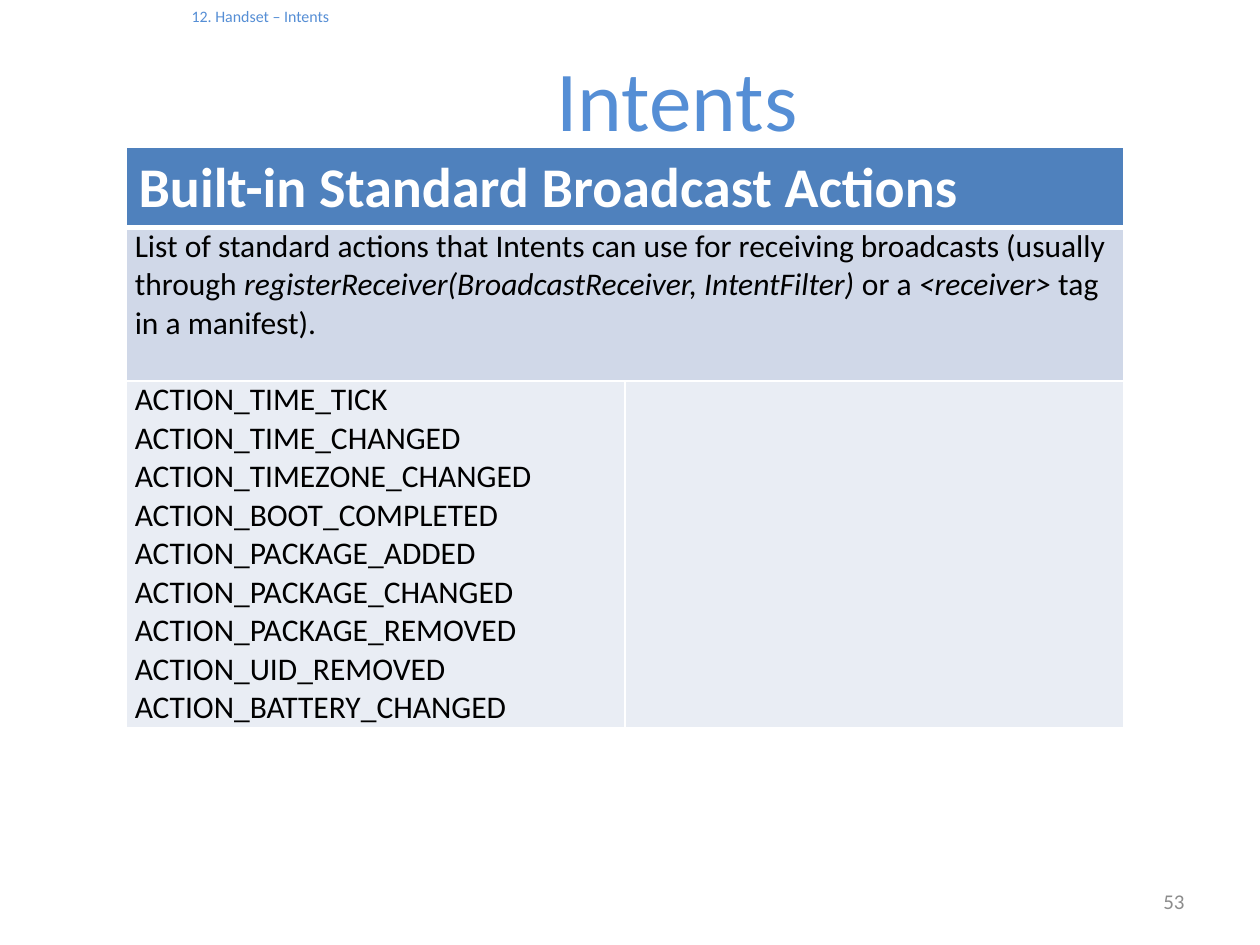
from lxml.etree import SubElement
from pptx import Presentation
from pptx.dml.color import RGBColor
from pptx.enum.text import MSO_ANCHOR, MSO_AUTO_SIZE, PP_ALIGN
from pptx.oxml.ns import qn
from pptx.util import Inches, Pt

# Content: each cell is a list of paragraphs, each paragraph a list of (text, italic)
CHAPTER = "12. Handset – Intents"
TITLE = "Intents"
PAGE = "53"
HEADING = [[("Built-in Standard Broadcast Actions", False)]]
SUMMARY = [[
    ("List of standard actions that Intents can use for receiving broadcasts (usually through ", False),
    ("registerReceiver(BroadcastReceiver, IntentFilter)", True),
    (" or a ", False),
    ("<receiver>", True),
    (" tag in a manifest).", False),
]]
ACTIONS = [[("ACTION_" + name, False)] for name in (
    "TIME_TICK", "TIME_CHANGED", "TIMEZONE_CHANGED", "BOOT_COMPLETED",
    "PACKAGE_ADDED", "PACKAGE_CHANGED", "PACKAGE_REMOVED",
    "UID_REMOVED", "BATTERY_CHANGED")]

FONT = "Calibri"
BLUE, GREY, WHITE, BLACK = "558ED5", "8C8C8C", "FFFFFF", "000000"
HEADING_FILL, SUMMARY_FILL, ACTIONS_FILL = "4F81BD", "D0D8E8", "E9EDF4"
ROW_HEIGHTS = (0.63, 1.22, 2.75)
COLUMN_WIDTH = 3.96


def style(font, size, color, bold=False, italic=False):
    font.name, font.size = FONT, Pt(size)
    font.bold, font.italic = bold, italic
    font.color.rgb = RGBColor.from_string(color)


def set_borders(cell, bottom=1):
    properties = cell._tc.get_or_add_tcPr()
    for side, width in (("L", 1), ("R", 1), ("T", 1), ("B", bottom)):
        line = SubElement(properties, qn(f"a:ln{side}"), w=str(Pt(width)))
        SubElement(SubElement(line, qn("a:solidFill")), qn("a:srgbClr"), val=WHITE)


def fill_cell(cell, paragraphs, fill, size=18, color=BLACK, bold=False):
    cell.fill.solid()
    cell.fill.fore_color.rgb = RGBColor.from_string(fill)
    frame = cell.text_frame
    for index, parts in enumerate(paragraphs):
        paragraph = frame.add_paragraph() if index else frame.paragraphs[0]
        for text, italic in parts:
            run = paragraph.add_run()
            run.text = text
            style(run.font, size, color, bold, italic)


presentation = Presentation()
presentation.slide_width, presentation.slide_height = Inches(10), Inches(7.5)
slide = presentation.slides.add_slide(presentation.slide_layouts[5])

# Title with the chapter line above it
title = slide.shapes.title
title.left, title.top = Inches(0.33), Inches(0.05)
title.width, title.height = Inches(9), Inches(0.95)
title_frame = title.text_frame
title_frame.auto_size = MSO_AUTO_SIZE.NONE
title_frame.vertical_anchor = MSO_ANCHOR.TOP
title_frame.margin_top = 0
title_frame.text = f"{CHAPTER}\n{TITLE}"
chapter_line, title_line = title_frame.paragraphs
chapter_line.alignment = PP_ALIGN.LEFT
chapter_line._p.get_or_add_pPr().set("marL", str(Inches(1.09)))
title_line.alignment = PP_ALIGN.CENTER
title_line.space_before = Pt(12)
style(chapter_line.runs[0].font, 9.1, BLUE)
style(title_line.runs[0].font, 48.7, BLUE)

# Page number
page = slide.shapes.add_textbox(Inches(7.17), Inches(6.95), Inches(2.33), Inches(0.4))
page_frame = page.text_frame
page_frame.word_wrap = True
page_frame.vertical_anchor = MSO_ANCHOR.MIDDLE
page_frame.text = PAGE
page_frame.paragraphs[0].alignment = PP_ALIGN.RIGHT
style(page_frame.paragraphs[0].runs[0].font, 12, GREY)

# Table of broadcast actions
actions_table = slide.shapes.add_table(
    len(ROW_HEIGHTS), 2, Inches(1), Inches(1.17),
    Inches(2 * COLUMN_WIDTH), Inches(sum(ROW_HEIGHTS))).table
for row, height in zip(actions_table.rows, ROW_HEIGHTS):
    row.height = Inches(height)
for row in range(len(ROW_HEIGHTS)):
    for column in range(2):
        cell = actions_table.cell(row, column)
        set_borders(cell, bottom=3 if row == 0 else 1)
        if row:
            cell.margin_left = cell.margin_right = Inches(0.07)
            cell.margin_top = cell.margin_bottom = 0
for row in (0, 1):
    actions_table.cell(row, 0).merge(actions_table.cell(row, 1))

fill_cell(actions_table.cell(0, 0), HEADING, HEADING_FILL, 32, WHITE, bold=True)
fill_cell(actions_table.cell(1, 0), SUMMARY, SUMMARY_FILL)
fill_cell(actions_table.cell(2, 0), ACTIONS, ACTIONS_FILL)
fill_cell(actions_table.cell(2, 1), [], ACTIONS_FILL)

presentation.save("out.pptx")
